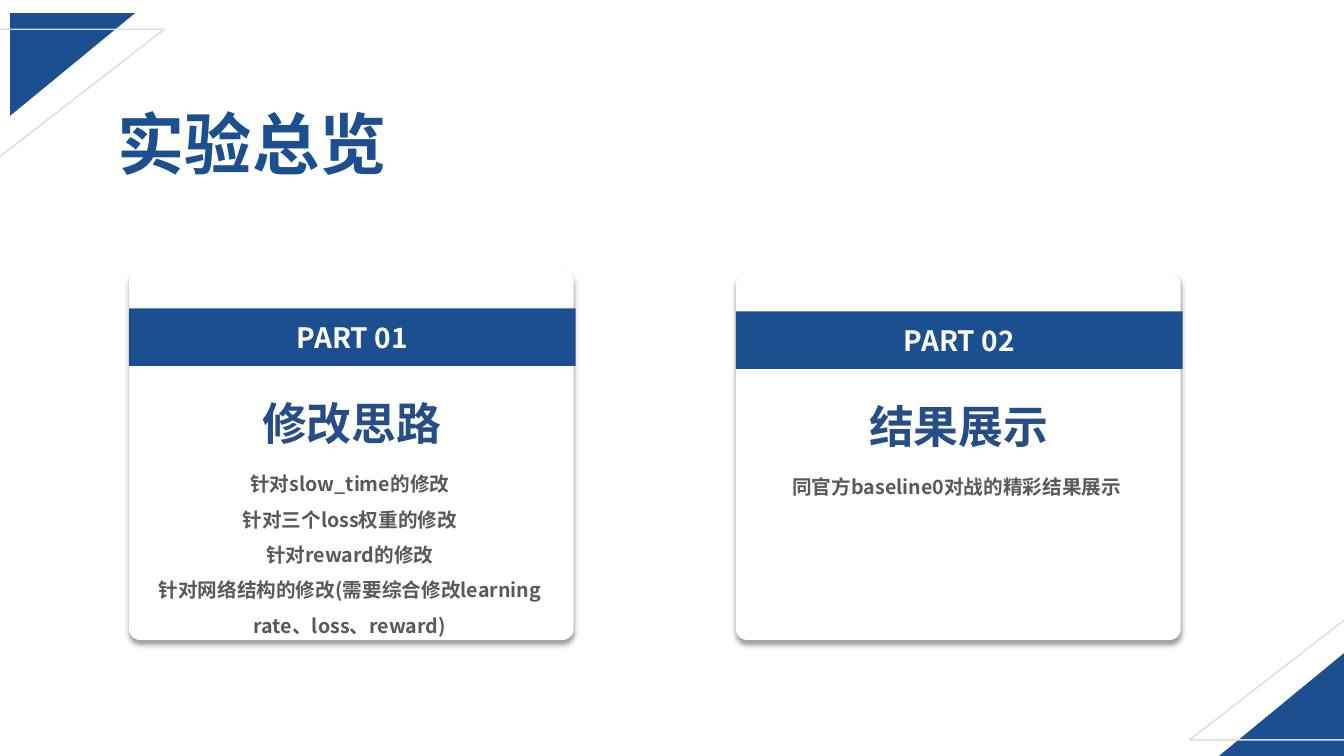
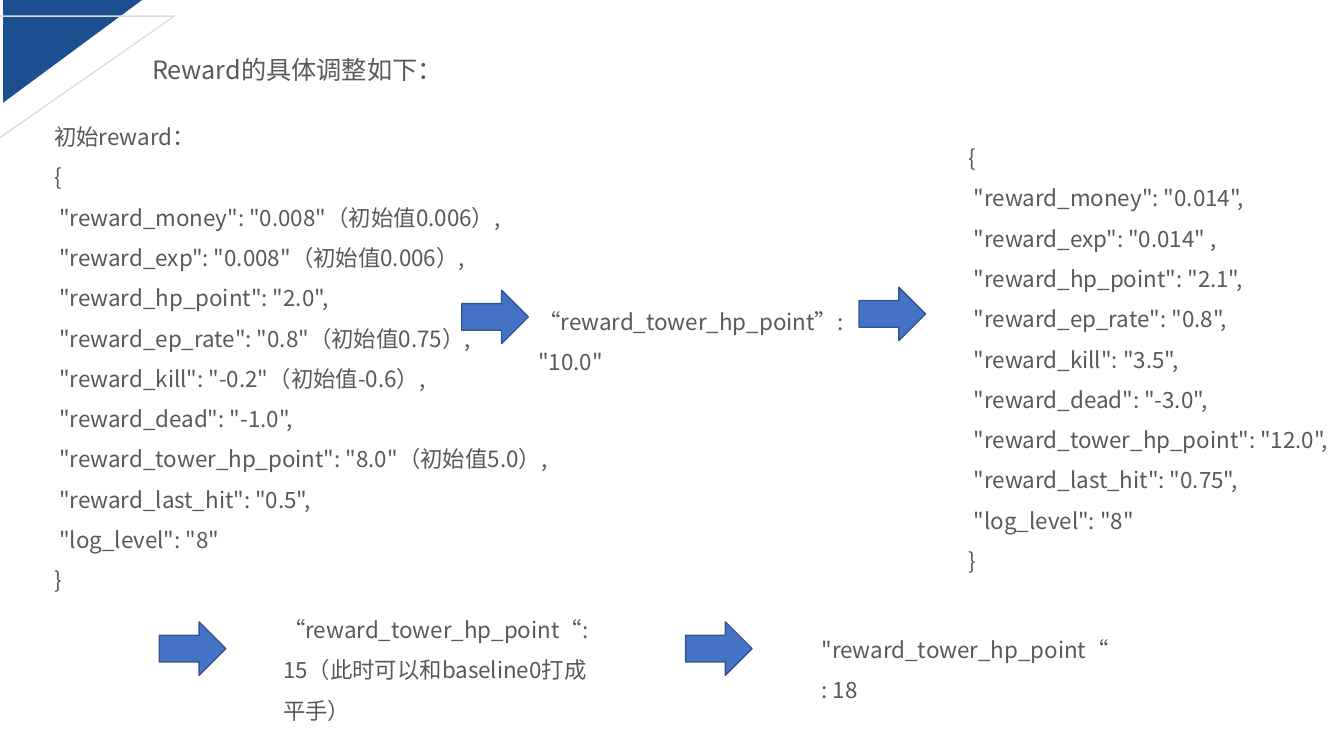
from lxml.etree import SubElement
from pptx import Presentation
from pptx.dml.color import RGBColor
from pptx.enum.shapes import MSO_SHAPE
from pptx.enum.text import MSO_ANCHOR, PP_ALIGN
from pptx.oxml.ns import qn
from pptx.util import Pt

PX = 9144  # one hundredth of an inch
FONT = "Noto Sans CJK SC"
INK = {"navy": "1C4F90", "head": "264D88", "gray": "595959", "rule": "DCDCDC",
       "white": "FFFFFF", "blue": "4472C4", "edge": "325491", "black": "000000"}


def draw(slide, kind, box, fill=None, line=None, flip=None):
    """Add a preset shape; flip is None, "flipH" or "flipV"."""
    shape = slide.shapes.add_shape(kind, *[n * PX for n in box])
    shape.shadow.inherit = False
    if fill:
        shape.fill.solid()
        shape.fill.fore_color.rgb = RGBColor.from_string(INK[fill])
    else:
        shape.fill.background()
    if line:
        shape.line.color.rgb = RGBColor.from_string(INK[line])
        shape.line.width = Pt(1)
    else:
        shape.line.fill.background()
    if flip:
        shape._element.spPr.xfrm.set(flip, "1")
    return shape


def write(frame, text, size, ink="gray", bold=False, align=PP_ALIGN.LEFT,
          space=None, indent=0):
    """Fill a text frame, one paragraph for each line of text."""
    frame.text = text
    frame.word_wrap = True
    for para in frame.paragraphs:
        para.alignment = align
        if space:
            para.line_spacing = space
        if indent:
            props = para._p.get_or_add_pPr()
            props.set("marL", "0")
            props.set("indent", str(indent * PX))
        for run in para.runs:
            run.font.size = Pt(size)
            run.font.bold = bold
            run.font.name = FONT
            run.font.color.rgb = RGBColor.from_string(INK[ink])
            SubElement(run._r.get_or_add_rPr(), qn("a:ea"), typeface=FONT)


deck = Presentation()
deck.slide_width, deck.slide_height = 1333 * PX, 750 * PX
plan, detail = [deck.slides.add_slide(deck.slide_layouts[6]) for _ in range(2)]

# Corner triangles: a solid one, then an outlined one
corners = [
    (plan, "flipH", (1209, 648, 124, 102), (1180, 596, 178, 138)),
    (plan, "flipV", (10, 13, 124, 102), (-15, 29, 178, 138)),
    (detail, "flipV", (3, 0, 138, 102), (-25, 16, 198, 138)),
]
for slide, flip, solid, outline in corners:
    draw(slide, MSO_SHAPE.RIGHT_TRIANGLE, solid, fill="navy", flip=flip)
    draw(slide, MSO_SHAPE.RIGHT_TRIANGLE, outline, line="rule", flip=flip)

# Slide 1: overview cards
title = plan.shapes.add_textbox(107 * PX, 97 * PX, 307 * PX, 91 * PX)
write(title.text_frame, "实验总览", 48, "navy", True)

ideas = """针对slow_time的修改
针对三个loss权重的修改
针对reward的修改
针对网络结构的修改(需要综合修改learning rate、loss、reward)"""
cards = [
    (128, 306, "PART 01", "修改思路", ideas),
    (730, 309, "PART 02", "结果展示", "同官方baseline0对战的精彩结果展示"),
]
for left, top, part, head, body in cards:
    card = draw(plan, MSO_SHAPE.ROUNDED_RECTANGLE,
                (left, top - 38, 441, 673 - top), fill="white")
    card.adjustments[0] = 0.03
    effects = card._element.spPr.find(qn("a:effectLst"))
    shade = SubElement(effects, qn("a:outerShdw"), blurRad=str(Pt(4)),
                       dist=str(Pt(3)), dir="5400000", algn="t", rotWithShape="0")
    color = SubElement(shade, qn("a:srgbClr"), val=INK["black"])
    SubElement(color, qn("a:alpha"), val="40000")

    band = draw(plan, MSO_SHAPE.RECTANGLE, (left, top, 443, 57), fill="navy")
    band.text_frame.vertical_anchor = MSO_ANCHOR.MIDDLE
    write(band.text_frame, part, 20, "white", True, PP_ALIGN.CENTER)

    name = plan.shapes.add_textbox((left + 50) * PX, (top + 82) * PX, 342 * PX, 64 * PX)
    write(name.text_frame, head, 32, "head", True, PP_ALIGN.CENTER)
    note = plan.shapes.add_textbox((left + 4) * PX, (top + 146) * PX, 430 * PX, 183 * PX)
    write(note.text_frame, body, 14, "gray", True, PP_ALIGN.CENTER, 1.5)

# Slide 2: reward settings, step by step
first = """初始reward：
{
 "reward_money": "0.008"（初始值0.006）,
 "reward_exp": "0.008"（初始值0.006）,
 "reward_hp_point": "2.0",
 "reward_ep_rate": "0.8"（初始值0.75）,
 "reward_kill": "-0.2"（初始值-0.6）,
 "reward_dead": "-1.0",
 "reward_tower_hp_point": "8.0"（初始值5.0）,
 "reward_last_hit": "0.5",
 "log_level": "8"
}"""
third = """{
 "reward_money": "0.014",
 "reward_exp": "0.014" ,
 "reward_hp_point": "2.1",
 "reward_ep_rate": "0.8",
 "reward_kill": "3.5",
 "reward_dead": "-3.0",
 "reward_tower_hp_point": "12.0",
 "reward_last_hit": "0.75",
 "log_level": "8"
}"""
steps = [
    ((141, 34, 679, 50), "Reward的具体调整如下：", 18, 0),
    ((11, 104, 595, 518), first, 16, 33),
    ((524, 287, 342, 46), "“reward_tower_hp_point”: \"10.0\"", 16, 0),
    ((918, 125, 449, 450), third, 16, 33),
    ((271, 593, 335, 87), "“reward_tower_hp_point“: 15（此时可以和baseline0打成平手）", 16, 0),
    ((805, 613, 309, 46), "\"reward_tower_hp_point“: 18", 16, 0),
]
for box, text, size, indent in steps:
    area = detail.shapes.add_textbox(*[n * PX for n in box])
    write(area.text_frame, text, size, space=1.5, indent=indent)

for left, top in [(458, 288), (852, 285), (158, 617), (680, 617)]:
    draw(detail, MSO_SHAPE.RIGHT_ARROW, (left, top, 66, 53), "blue", "edge")

deck.save("out.pptx")
